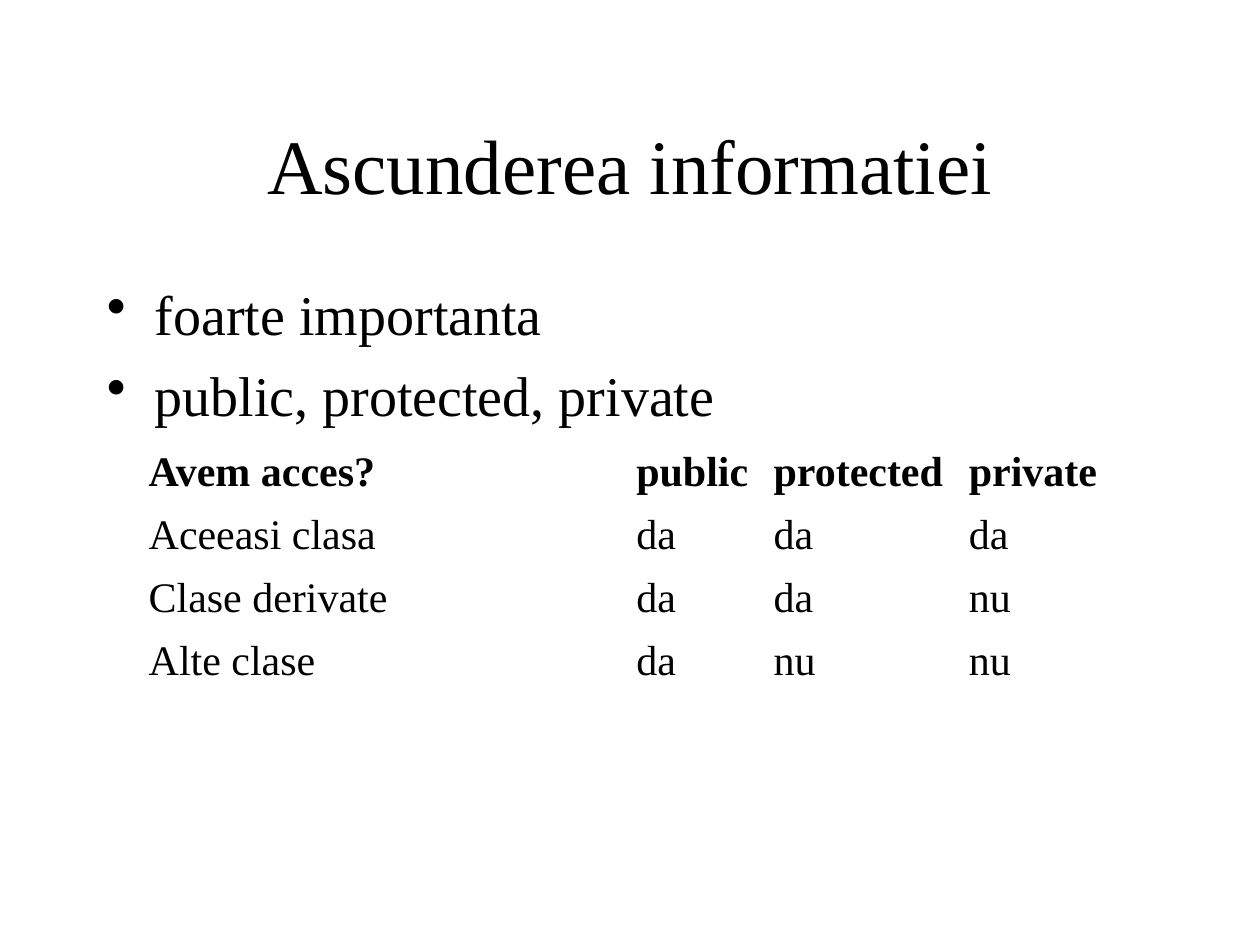
from lxml import etree
from pptx import Presentation
from pptx import util as u
from pptx.dml.color import RGBColor
from pptx.enum import text
from pptx.oxml.ns import qn

COLORS = {"text": "000000", "background": "FFFFFF"}
ACCESS_ROWS = [
    ("Avem acces?", "public", "protected", "private"),
    ("Aceeasi clasa", "da", "da", "da"),
    ("Clase derivate", "da", "da", "nu"),
    ("Alte clase", "da", "nu", "nu"),
]
COLUMN_WIDTHS = (3.87, 1.09, 1.55, 1.22)
ROW_HEIGHT = 0.5


class SlideBuilder:
    font = "Times New Roman"

    def __init__(self, slide):
        self.s = slide
        fill = slide.background.fill
        fill.solid()
        fill.fore_color.rgb = RGBColor.from_string(COLORS["background"])

    def run(self, p, content, size, bold=False):
        r = p.add_run()
        r.text = content
        r.font.name = self.font
        r.font.size = u.Pt(size)
        r.font.bold = bold
        r.font.color.rgb = RGBColor.from_string(COLORS["text"])

    def text_frame(self, left, top, width, height, anchor):
        sp = self.s.shapes.add_textbox(*map(u.Inches, (left, top, width, height)))
        tf = sp.text_frame
        tf.word_wrap = True
        tf.vertical_anchor = anchor
        return tf

    def title(self, content, *box):
        p = self.text_frame(*box, text.MSO_ANCHOR.MIDDLE).paragraphs[0]
        p.alignment = text.PP_ALIGN.CENTER
        self.run(p, content, 44)

    def bullets(self, items, *box):
        tf = self.text_frame(*box, text.MSO_ANCHOR.TOP)
        for i, item in enumerate(items):
            p = tf.add_paragraph() if i else tf.paragraphs[0]
            p.space_before = u.Pt(8)
            pPr = p._p.get_or_add_pPr()
            pPr.set("marL", str(u.Inches(0.38)))
            pPr.set("indent", str(u.Inches(-0.38)))
            etree.SubElement(pPr, qn("a:buChar"), char="•")
            self.run(p, item, 32)

    def table(self, rows, widths, row_height, left, top):
        """Add a table without fills whose first row is bold."""
        box = (left, top, sum(widths), row_height * len(rows))
        table = self.s.shapes.add_table(
            len(rows), len(widths), *map(u.Inches, box)).table
        table.first_row = table.horz_banding = False
        for column, width in zip(table.columns, widths):
            column.width = u.Inches(width)
        for i, row in enumerate(rows):
            table.rows[i].height = u.Inches(row_height)
            for j, content in enumerate(row):
                cell = table.cell(i, j)
                cell.fill.background()
                cell.vertical_anchor = text.MSO_ANCHOR.MIDDLE
                self.run(cell.text_frame.paragraphs[0], content, 24, bold=i == 0)


def main():
    prs = Presentation()
    prs.slide_width, prs.slide_height = u.Inches(10), u.Inches(7.5)
    builder = SlideBuilder(prs.slides.add_slide(prs.slide_layouts[6]))
    builder.title("Ascunderea informatiei", 0.75, 0.67, 8.5, 1.25)
    builder.bullets(["foarte importanta", "public, protected, private"],
                    0.75, 2.17, 8.5, 4.5)
    builder.table(ACCESS_ROWS, COLUMN_WIDTHS, ROW_HEIGHT, 1.08, 3.5)
    prs.save("out.pptx")


if __name__ == "__main__":
    main()
